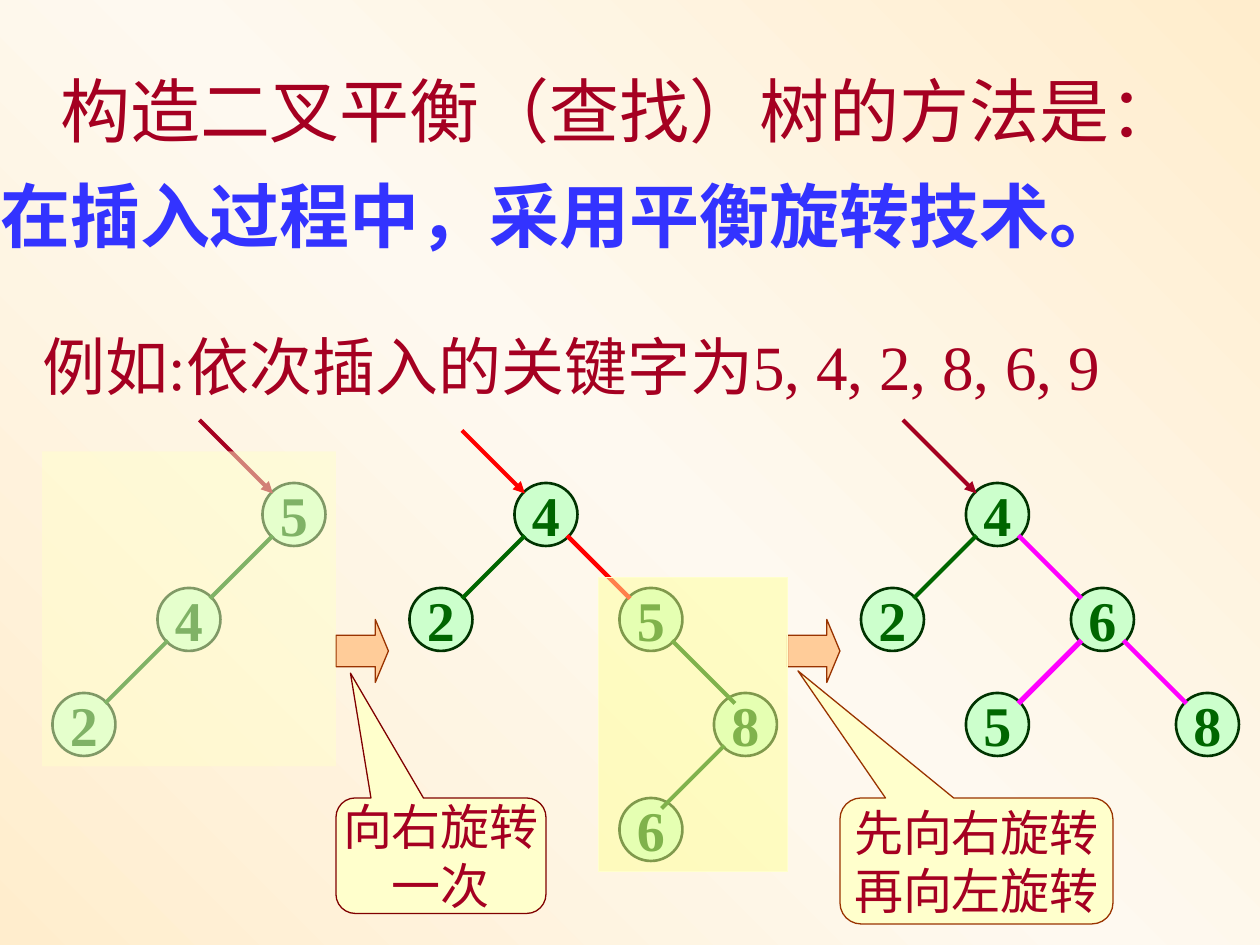
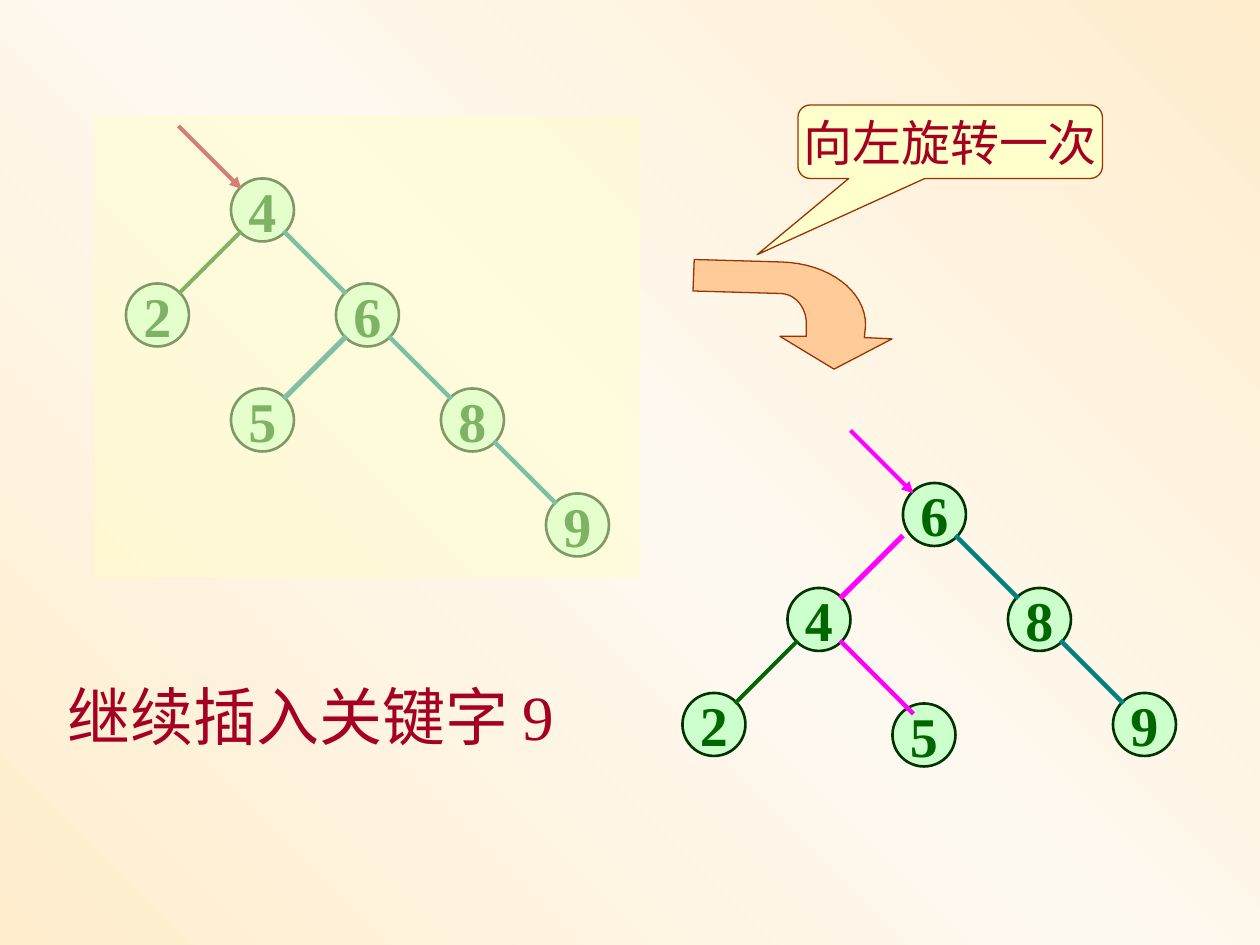
"""Build two slides on keeping a binary search tree balanced by rotation."""
from copy import deepcopy
from dataclasses import dataclass

from lxml import etree
from pptx import Presentation
from pptx.dml.color import RGBColor
from pptx.enum.shapes import MSO_CONNECTOR, MSO_SHAPE
from pptx.enum.text import MSO_ANCHOR, MSO_AUTO_SIZE, PP_ALIGN
from pptx.oxml.ns import qn
from pptx.util import Cm, Pt

ELLIPSE = MSO_SHAPE.OVAL
RECTANGLE = MSO_SHAPE.RECTANGLE
RIGHT_ARROW = MSO_SHAPE.RIGHT_ARROW
CALLOUT = MSO_SHAPE.ROUNDED_RECTANGULAR_CALLOUT
STRAIGHT = MSO_CONNECTOR.STRAIGHT
TOP, MIDDLE = MSO_ANCHOR.TOP, MSO_ANCHOR.MIDDLE
LEFT, CENTER = PP_ALIGN.LEFT, PP_ALIGN.CENTER
NO_AUTOFIT = MSO_AUTO_SIZE.NONE
TITLE_ONLY, BLANK = 5, 6
NODE_SIZE = 6
EDGE_INSET = 2


@dataclass(frozen=True)
class Theme:
    font: str = "Times New Roman"
    title_size: int = 40
    body_size: int = 36
    key_size: int = 32
    note_size: int = 28
    text: str = "A50021"
    emphasis: str = "3333FF"
    key: str = "006600"
    node_fill: str = "CCFFCC"
    node_line: str = "003300"
    edge: str = "006600"
    unbalanced: str = "FF0000"
    rotated: str = "FF00FF"
    settled: str = "008080"
    arrow_fill: str = "FFCC99"
    outline: str = "993300"
    dark_outline: str = "800000"
    pale: str = "FFFFCC"
    pale_strong: str = "FFFF99"
    backdrop: tuple = ("FFEDCD", "FEF9F0", "FFEDCD")


def grid(count):
    """Return the length of a number of grid steps, twelve to 2.54 cm."""
    return Cm(count * 2.54 / 12)


def curve(start, first, second, end, steps=16):
    """Return points along a cubic curve, without its start."""
    points = []
    for step in range(1, steps + 1):
        t = step / steps
        weights = ((1 - t) ** 3, 3 * t * (1 - t) ** 2, 3 * t * t * (1 - t), t ** 3)
        corners = (start, first, second, end)
        points.append(tuple(sum(w * c[axis] for w, c in zip(weights, corners))
                            for axis in (0, 1)))
    return points


class TreeDeck:
    """Hold the theme, the deck and the page being drawn."""

    def __init__(self, theme):
        """Start an empty deck with the shared backdrop."""
        self.theme = theme
        self.deck = Presentation()
        self.deck.slide_width, self.deck.slide_height = Cm(25.4), Cm(19.05)
        self.page = None
        self.paint_backdrop()

    def paint_backdrop(self):
        """Give the master a diagonal three-stop gradient."""
        master = self.deck.slide_master
        fill = master.background.fill
        fill.gradient()
        fill.gradient_angle = 225
        last = list(master.element.iter(qn("a:gs")))[-1]
        last.addprevious(deepcopy(last))
        for number, colour in enumerate(self.theme.backdrop):
            stop = fill.gradient_stops[number]
            stop.position = number / 2
            stop.color.rgb = RGBColor.from_string(colour)

    def new_page(self, layout):
        """Add a page and make it current."""
        self.page = self.deck.slides.add_slide(self.deck.slide_layouts[layout])

    def set_text(self, box, text, size, colour, align=LEFT, anchor=TOP, bold=False, wrap=True):
        """Set the text of a box and format every run."""
        frame = box.text_frame
        frame.text = text
        frame.word_wrap = wrap
        frame.auto_size = NO_AUTOFIT
        frame.vertical_anchor = anchor
        for para in frame.paragraphs:
            para.alignment = align
            for span in para.runs:
                span.font.name = self.theme.font
                span.font.size = Pt(size)
                span.font.bold = bold
                span.font.color.rgb = RGBColor.from_string(colour)

    def title(self, text, left, top, width, height):
        """Place the title with an indented first line and a stressed second."""
        box = self.page.shapes.title
        box.left, box.top, box.width, box.height = map(Cm, (left, top, width, height))
        self.set_text(box, text, self.theme.title_size, self.theme.text)
        first, second = box.text_frame.paragraphs
        first.line_spacing = second.line_spacing = 1.25
        first._p.get_or_add_pPr().set("indent", str(Cm(1.21)))
        for span in second.runs:
            span.font.bold = True
            span.font.color.rgb = RGBColor.from_string(self.theme.emphasis)

    def caption(self, text, left, top, width, height):
        """Add a line of body text."""
        box = self.page.shapes.add_textbox(*map(Cm, (left, top, width, height)))
        self.set_text(box, text, self.theme.body_size, self.theme.text)

    def paint(self, shape, fill, line=None, width=0.75):
        """Fill and outline a shape without a shadow."""
        shape.shadow.inherit = False
        shape.fill.solid()
        shape.fill.fore_color.rgb = RGBColor.from_string(fill)
        if line:
            shape.line.color.rgb = RGBColor.from_string(line)
            shape.line.width = Pt(width)
        else:
            shape.line.fill.background()

    def shape(self, kind, area, fill, line=None, width=0.75, adjust=()):
        """Add a preset shape on the grid."""
        shape = self.page.shapes.add_shape(kind, *map(grid, area))
        self.paint(shape, fill, line, width)
        for number, value in enumerate(adjust):
            shape.adjustments[number] = value
        return shape

    def node(self, key, x, y):
        """Add a tree node around its centre."""
        theme, half = self.theme, NODE_SIZE / 2
        circle = self.shape(ELLIPSE, (x - half, y - half, NODE_SIZE, NODE_SIZE),
                            theme.node_fill, theme.node_line, 1.5)
        self.set_text(circle, key, theme.key_size, theme.key, CENTER, MIDDLE, True, False)

    def line(self, x1, y1, x2, y2, colour, width=2.25, arrow=False):
        """Add a straight line on the grid, with an arrowhead if asked."""
        line = self.page.shapes.add_connector(STRAIGHT, *map(grid, (x1, y1, x2, y2)))
        line.line.color.rgb = RGBColor.from_string(colour)
        line.line.width = Pt(width)
        properties = line._element.spPr
        if arrow:
            etree.SubElement(properties.find(qn("a:ln")), qn("a:tailEnd"), type="triangle")
        etree.SubElement(properties, qn("a:effectLst"))

    def edge(self, parent, child, colour, width):
        """Join two nodes with a line at 45 degrees."""
        across, down = child[0] - parent[0], child[1] - parent[1]
        side = 1 if across > 0 else -1
        run = down - 2 * EDGE_INSET
        x = parent[0] + side * max(EDGE_INSET, abs(across) - down + EDGE_INSET)
        y = parent[1] + EDGE_INSET
        self.line(x, y, x + side * run, y + run, colour, width)

    def tree(self, nodes, edges, pointer, reach):
        """Draw nodes, edges and the pointer to the root, which is listed first."""
        for key, centre in nodes.items():
            self.node(key, *centre)
        for parent, child, colour, width in edges:
            self.edge(nodes[parent], nodes[child], colour, width)
        x, y = (value - EDGE_INSET for value in next(iter(nodes.values())))
        self.line(x - reach, y - reach, x, y, pointer, arrow=True)

    def veil(self, area, colour, line=None):
        """Cover an area with a half transparent sheet."""
        sheet = self.shape(RECTANGLE, area, colour, line)
        tint = sheet._element.spPr.find(qn("a:solidFill")).find(qn("a:srgbClr"))
        etree.SubElement(tint, qn("a:alpha"), val="50000")

    def block_arrow(self, left, top):
        """Add an arrow to the next step."""
        self.shape(RIGHT_ARROW, (left, top, 5, 6), self.theme.arrow_fill,
                   self.theme.outline, adjust=(0.5, 0.25))

    def callout(self, text, area, tip, line):
        """Add a speech bubble that points at a step."""
        bubble = self.shape(CALLOUT, area, self.theme.pale, line, adjust=(*tip, 0.167))
        self.set_text(bubble, text, self.theme.note_size, self.theme.text,
                      CENTER, MIDDLE, wrap=False)

    def outline_shape(self, points):
        """Add a closed outline from points in inches."""
        start, *rest = [(Cm(x * 2.54), Cm(y * 2.54)) for x, y in points]
        builder = self.page.shapes.build_freeform(*start)
        builder.add_line_segments(rest, close=True)
        self.paint(builder.convert_to_shape(), self.theme.arrow_fill, self.theme.outline)


def rotation_page(show):
    """Draw the method and the first two rotations."""
    theme = show.theme
    show.new_page(TITLE_ONLY)
    show.title("构造二叉平衡（查找）树的方法是：\n在插入过程中，采用平衡旋转技术。",
               -0.25, 0.81, 25.88, 4.5)
    show.caption("例如:依次插入的关键字为5, 4, 2, 8, 6, 9", 0.61, 6.48, 24, 1.78)
    show.tree({"5": (28, 49), "4": (18, 59), "2": (8, 69)},
              [("5", "4", theme.edge, 2.25), ("4", "2", theme.edge, 2.25)], theme.text, 7)
    show.tree({"4": (52, 49), "2": (42, 59), "5": (62, 59), "8": (71, 69), "6": (62, 79)},
              [("4", "2", theme.edge, 2.25), ("4", "5", theme.unbalanced, 2.5),
               ("5", "8", theme.edge, 2.25), ("8", "6", theme.edge, 2.25)],
              theme.unbalanced, 6)
    show.tree({"4": (95, 49), "2": (85, 59), "6": (105, 59), "5": (95, 69), "8": (115, 69)},
              [("4", "2", theme.edge, 2.25), ("4", "6", theme.rotated, 2.5),
               ("6", "5", theme.rotated, 3), ("6", "8", theme.rotated, 2.5)], theme.text, 7)
    for left in (32, 75):
        show.block_arrow(left, 59)
    show.veil((57, 55, 18, 28), theme.pale_strong, theme.pale)
    show.callout("向右旋转\n一次", (32, 76, 20, 11), (-0.431, -1.581), theme.dark_outline)
    show.callout("先向右旋转\n再向左旋转", (80, 76, 26, 12), (-0.654, -1.509), theme.outline)
    show.veil((4, 43, 28, 30), theme.pale)


def insertion_page(show):
    """Draw the insertion of one more key and its rotation."""
    theme = show.theme
    show.new_page(BLANK)
    show.tree({"4": (25, 20), "2": (15, 30), "6": (35, 30), "5": (25, 40),
               "8": (45, 40), "9": (55, 50)},
              [("4", "2", theme.edge, 2.25), ("4", "6", theme.settled, 2.5),
               ("6", "5", theme.settled, 3), ("6", "8", theme.settled, 2.5),
               ("8", "9", theme.settled, 2.5)], theme.text, 6)
    show.veil((9, 11, 52, 44), theme.pale)
    show.tree({"6": (89, 49), "4": (78, 59), "8": (99, 59), "2": (68, 69),
               "5": (88, 70), "9": (109, 69)},
              [("4", "2", theme.edge, 2.25), ("6", "4", theme.rotated, 3),
               ("6", "8", theme.settled, 2.5), ("8", "9", theme.settled, 2.5),
               ("4", "5", theme.rotated, 2.5)], theme.rotated, 6)
    outer = curve((6.2, 2.08), (6.58, 2.09), (6.87, 2.31), (6.87, 2.58))
    inner = curve((6.4, 2.57), (6.4, 2.44), (6.31, 2.33), (6.19, 2.33))
    head = [(6.86, 2.68), (7.08, 2.69), (6.62, 2.93), (6.19, 2.67), (6.4, 2.67), (6.4, 2.57)]
    show.outline_shape([(5.51, 2.06), (6.2, 2.08), *outer, *head, *inner, (5.5, 2.31)])
    show.callout("向左旋转一次", (76, 10, 29, 7), (-0.634, 1.536), theme.outline)
    show.caption("继续插入关键字 9", 1.12, 13.54, 11.15, 1.78)


def main():
    """Build and save the deck."""
    show = TreeDeck(Theme())
    rotation_page(show)
    insertion_page(show)
    show.deck.save("out.pptx")


if __name__ == "__main__":
    main()
